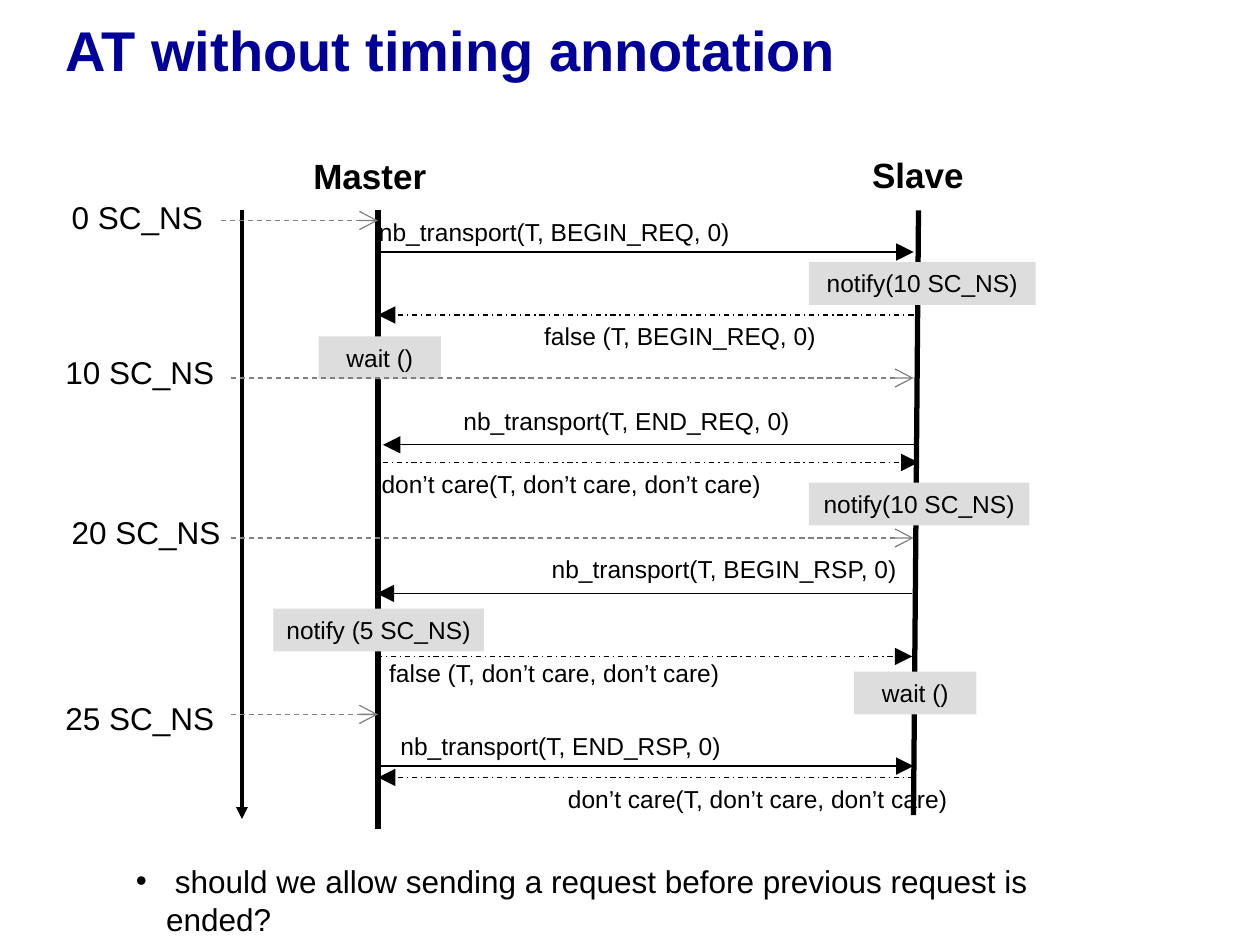
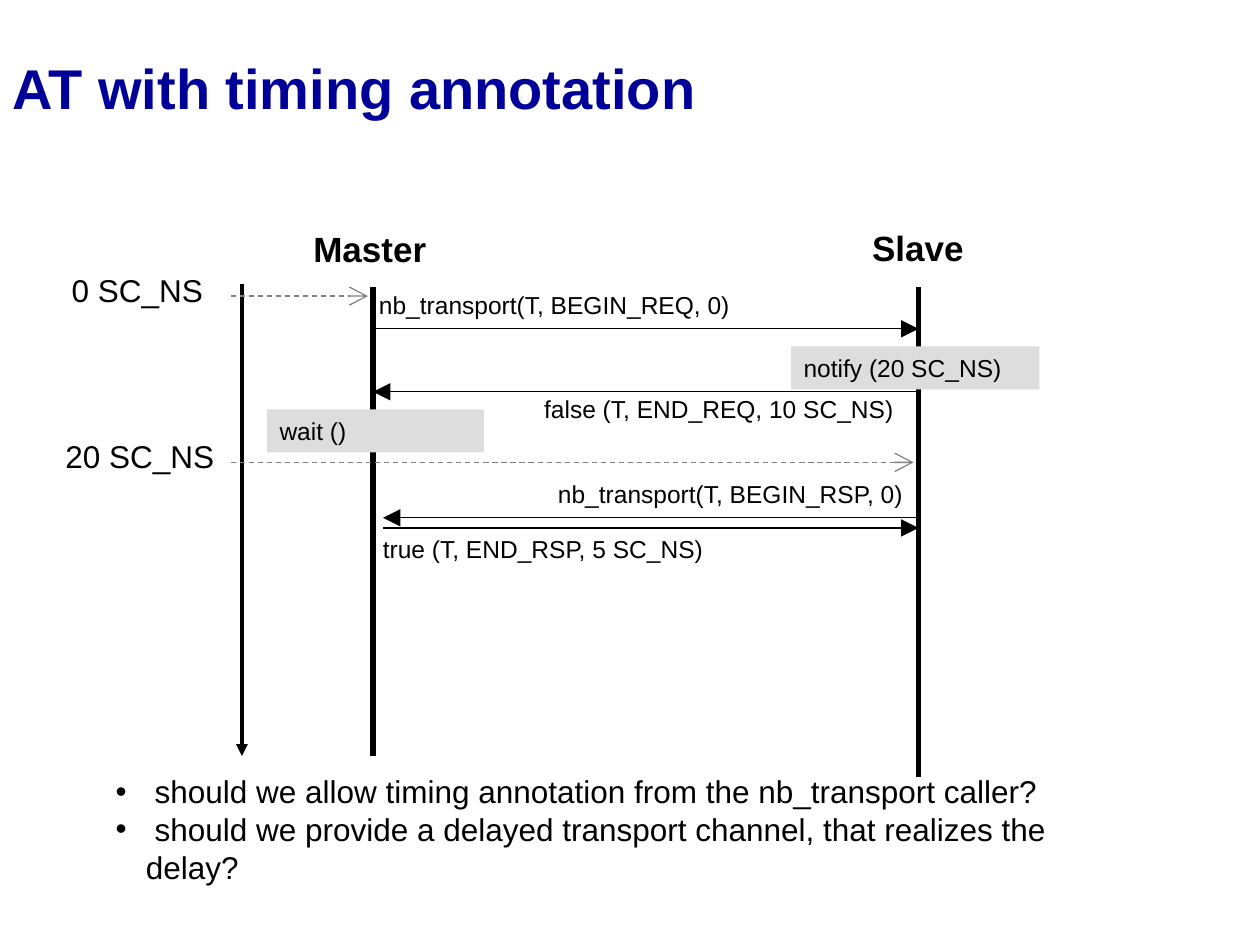
from lxml import etree
from pptx import Presentation
from pptx.dml.color import RGBColor
from pptx.enum.dml import MSO_LINE
from pptx.enum.shapes import MSO_CONNECTOR, MSO_SHAPE
from pptx.enum.text import MSO_ANCHOR, MSO_AUTO_SIZE, PP_ALIGN
from pptx.oxml.ns import qn
from pptx.util import Inches, Pt

FONT = "Arial"
BLACK, NAVY, GRAY, LIGHT_GRAY = "000000", "000099", "808080", "DDDDDD"
LEFT, CENTER = PP_ALIGN.LEFT, PP_ALIGN.CENTER
TOP, MIDDLE = MSO_ANCHOR.TOP, MSO_ANCHOR.MIDDLE
FIT_SHAPE, FIXED = MSO_AUTO_SIZE.SHAPE_TO_FIT_TEXT, MSO_AUTO_SIZE.NONE
DASH, DASH_DOT = MSO_LINE.DASH, MSO_LINE.DASH_DOT
STRAIGHT, RECTANGLE = MSO_CONNECTOR.STRAIGHT, MSO_SHAPE.RECTANGLE

LABEL_HEIGHT, TIME_HEIGHT, HEADING_HEIGHT = 0.34, 0.4, 0.44
TIME_AXIS_X = 1.92
BULLET_INDENT = 0.24


def color(hex_value):
    return RGBColor.from_string(hex_value)


def write(shape, lines, size, align=LEFT, bold=False, font_color=BLACK,
          anchor=TOP, wrap=False, fit=FIT_SHAPE):
    frame = shape.text_frame
    frame.text = "\n".join(lines)
    frame.word_wrap = wrap
    frame.auto_size = fit
    frame.vertical_anchor = anchor
    for paragraph in frame.paragraphs:
        paragraph.alignment = align
        for run in paragraph.runs:
            run.font.name = FONT
            run.font.size = Pt(size)
            run.font.bold = bold
            run.font.color.rgb = color(font_color)
    return frame


def add_text(slide, left, top, width, height, lines, size, **style):
    shape = slide.shapes.add_textbox(
        Inches(left), Inches(top), Inches(width), Inches(height))
    return write(shape, lines, size, **style)


def add_title(slide, left, top, width, text):
    frame = add_text(slide, left, top, width, 0.87, [text], 32, bold=True,
                     font_color=NAVY, anchor=MIDDLE, wrap=True, fit=FIXED)
    frame.paragraphs[0].line_spacing = 0.85


def add_headings(slide, top):
    for left, width, name, drop in ((2.34, 1.19, "Master", 0.01),
                                    (6.77, 1.03, "Slave", 0)):
        add_text(slide, left, top + drop, width, HEADING_HEIGHT, [name], 20,
                 align=CENTER, bold=True)


def add_time(slide, left, top, text):
    width = 1.24 if text.startswith("0") else 1.38
    add_text(slide, left, top, width, TIME_HEIGHT, [text], 18)


def add_call(slide, left, top, width, text):
    add_text(slide, left, top, width, LABEL_HEIGHT, [text], 14)


def add_action(slide, left, top, width, text, align=CENTER):
    shape = slide.shapes.add_shape(
        RECTANGLE, Inches(left), Inches(top), Inches(width), Inches(LABEL_HEIGHT))
    shape.shadow.inherit = False
    shape.fill.solid()
    shape.fill.fore_color.rgb = color(LIGHT_GRAY)
    shape.line.fill.background()
    write(shape, [text], 14, align=align, wrap=True)


def add_line(slide, start, end, width=0.75, line_color=BLACK, dash=None,
             head=None, head_size="lg"):
    connector = slide.shapes.add_connector(
        STRAIGHT, *(Inches(value) for value in (*start, *end)))
    connector.line.width = Pt(width)
    connector.line.color.rgb = color(line_color)
    if dash:
        connector.line.dash_style = dash
    properties = connector._element.spPr
    if head:
        etree.SubElement(properties.find(qn("a:ln")), qn("a:tailEnd"),
                         type=head, w=head_size, len=head_size)
    etree.SubElement(properties, qn("a:effectLst"))


def add_lifeline(slide, start, end):
    add_line(slide, start, end, width=3)


def add_time_axis(slide, top, bottom):
    add_line(slide, (TIME_AXIS_X, top), (TIME_AXIS_X, bottom), width=2.25,
             head="triangle", head_size="med")


def add_message(slide, start, end, y, dash=None):
    add_line(slide, (start, y), (end, y), dash=dash, head="triangle")


def add_time_mark(slide, start, end, y):
    add_line(slide, (start, y), (end, y), line_color=GRAY, dash=DASH, head="arrow")


def add_questions(slide, left, top, width, height, questions):
    frame = add_text(slide, left, top, width, height, questions, 18, wrap=True)
    for paragraph in frame.paragraphs:
        properties = paragraph._p.get_or_add_pPr()
        properties.set("marL", str(Inches(BULLET_INDENT)))
        properties.set("indent", str(-Inches(BULLET_INDENT)))
        bullet_color = etree.SubElement(properties, qn("a:buClr"))
        etree.SubElement(bullet_color, qn("a:srgbClr"), val=BLACK)
        etree.SubElement(properties, qn("a:buFont"), typeface=FONT)
        etree.SubElement(properties, qn("a:buChar"), char="•")


def add_each(add_element, slide, rows):
    for row in rows:
        add_element(slide, *row)


def build_without_annotation(slide):
    add_title(slide, 0.42, 0, 9.5, "AT without timing annotation")
    add_headings(slide, 1.17)
    add_lifeline(slide, (3, 1.67), (3, 6.58))
    add_lifeline(slide, (7.29, 1.67), (7.25, 6.47))
    add_time_axis(slide, 1.67, 6.5)
    add_each(add_time, slide, (
        (0.47, 1.52, "0 SC_NS"),
        (0.42, 2.75, "10 SC_NS"),
        (0.47, 4.02, "20 SC_NS"),
        (0.42, 5.5, "25 SC_NS"),
    ))
    add_each(add_call, slide, (
        (2.91, 1.67, 3, "nb_transport(T, BEGIN_REQ, 0)"),
        (4.22, 2.5, 2.38, "false (T, BEGIN_REQ, 0)"),
        (3.58, 3.17, 2.81, "nb_transport(T, END_REQ, 0)"),
        (2.93, 3.67, 3.23, "don’t care(T, don’t care, don’t care)"),
        (4.28, 4.35, 2.98, "nb_transport(T, BEGIN_RSP, 0)"),
        (2.99, 5.17, 2.84, "false (T, don’t care, don’t care)"),
        (3.08, 5.75, 2.79, "nb_transport(T, END_RSP, 0)"),
        (4.41, 6.17, 3.23, "don’t care(T, don’t care, don’t care)"),
    ))
    add_each(add_action, slide, (
        (6.42, 2.08, 1.8, "notify(10 SC_NS)"),
        (2.53, 2.67, 0.97, "wait ()"),
        (6.42, 3.83, 1.75, "notify(10 SC_NS)"),
        (2.17, 4.83, 1.67, "notify (5 SC_NS)"),
        (6.78, 5.33, 0.97, "wait ()"),
    ))
    add_each(add_message, slide, (
        (3, 7.25, 2),
        (7.25, 3, 2.5, DASH_DOT),
        (7.29, 3.04, 3.53),
        (3.04, 7.29, 3.67, DASH_DOT),
        (7.24, 2.99, 4.71),
        (2.99, 7.24, 5.21, DASH_DOT),
        (3, 7.25, 6.08),
        (7.25, 3, 6.17, DASH_DOT),
    ))
    add_each(add_time_mark, slide, (
        (1.75, 3, 1.75),
        (1.83, 7.25, 3),
        (1.83, 7.25, 4.27),
        (1.83, 3, 5.67),
    ))
    add_questions(slide, 0.98, 6.79, 8.03, 0.4, [
        " should we allow sending a request before previous request is ended?",
    ])


def build_with_annotation(slide):
    add_title(slide, 0, 0.3, 10, "AT with timing annotation")
    add_headings(slide, 1.75)
    add_lifeline(slide, (2.96, 2.28), (2.96, 6))
    add_lifeline(slide, (7.29, 2.28), (7.29, 6.17))
    add_time_axis(slide, 2.25, 6)
    add_each(add_time, slide, (
        (0.47, 2.1, "0 SC_NS"),
        (0.42, 3.42, "20 SC_NS"),
    ))
    add_each(add_call, slide, (
        (2.91, 2.25, 3, "nb_transport(T, BEGIN_REQ, 0)"),
        (4.22, 3.08, 2.99, "false (T, END_REQ, 10 SC_NS)"),
        (4.33, 3.75, 2.98, "nb_transport(T, BEGIN_RSP, 0)"),
        (2.94, 4.19, 2.79, "true (T, END_RSP, 5 SC_NS)"),
    ))
    add_each(add_message, slide, (
        (2.96, 7.29, 2.61),
        (7.29, 2.96, 3.11),
        (7.29, 3.04, 4.11),
        (3.04, 7.29, 4.19),
    ))
    add_each(add_action, slide, (
        (6.28, 2.75, 1.97, "notify (20 SC_NS)", LEFT),
        (2.12, 3.25, 1.72, "wait ()", LEFT),
    ))
    add_each(add_time_mark, slide, (
        (1.83, 2.92, 2.35),
        (1.83, 7.25, 3.67),
    ))
    add_questions(slide, 0.82, 6.08, 8.23, 0.7, [
        " should we allow timing annotation from the nb_transport caller?",
        " should we provide a delayed transport channel, that realizes the delay?",
    ])


def main():
    presentation = Presentation()
    presentation.slide_width = Inches(10)
    presentation.slide_height = Inches(7.5)
    blank_layout = presentation.slide_layouts[6]
    for build in (build_without_annotation, build_with_annotation):
        build(presentation.slides.add_slide(blank_layout))
    presentation.save("out.pptx")


if __name__ == "__main__":
    main()
